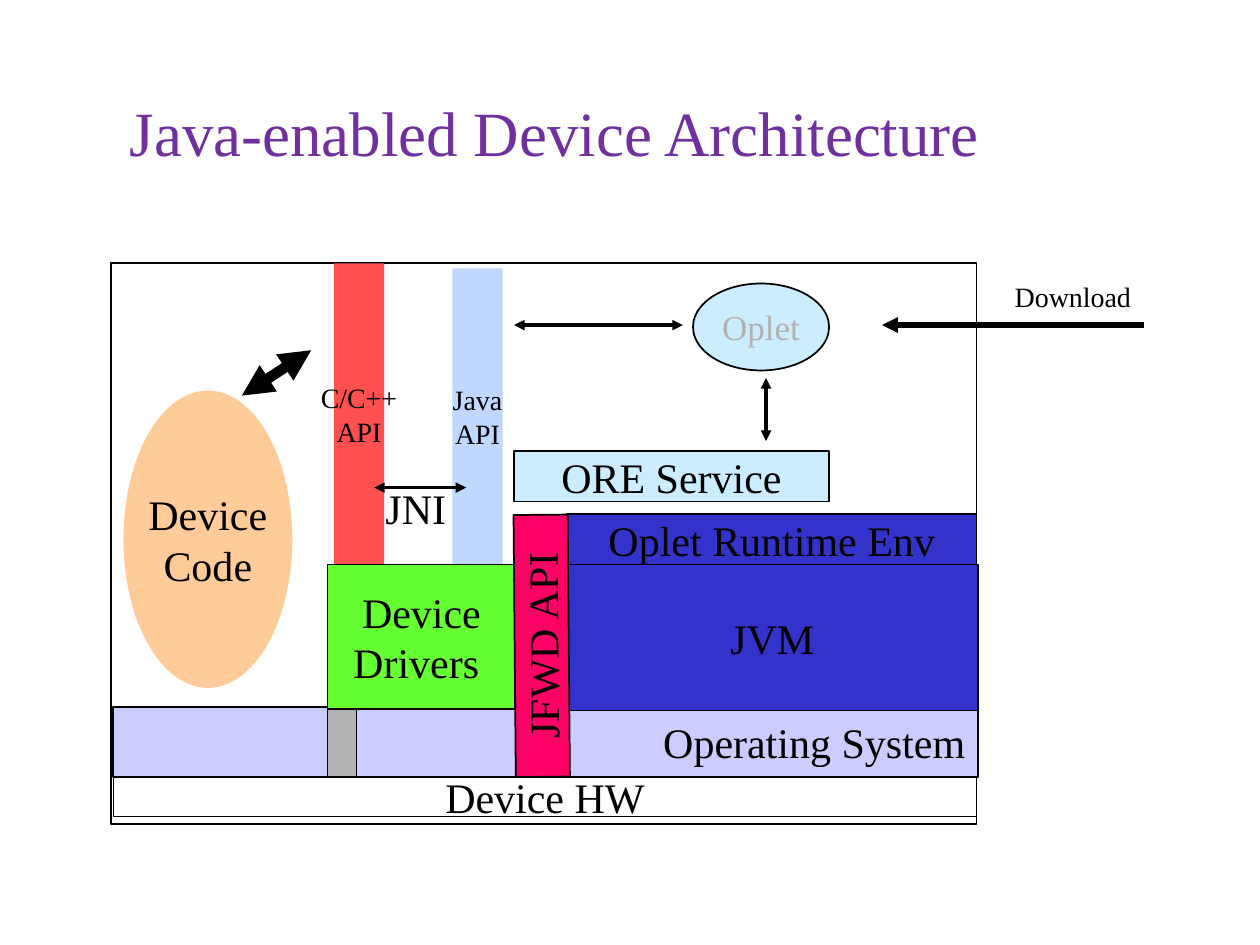
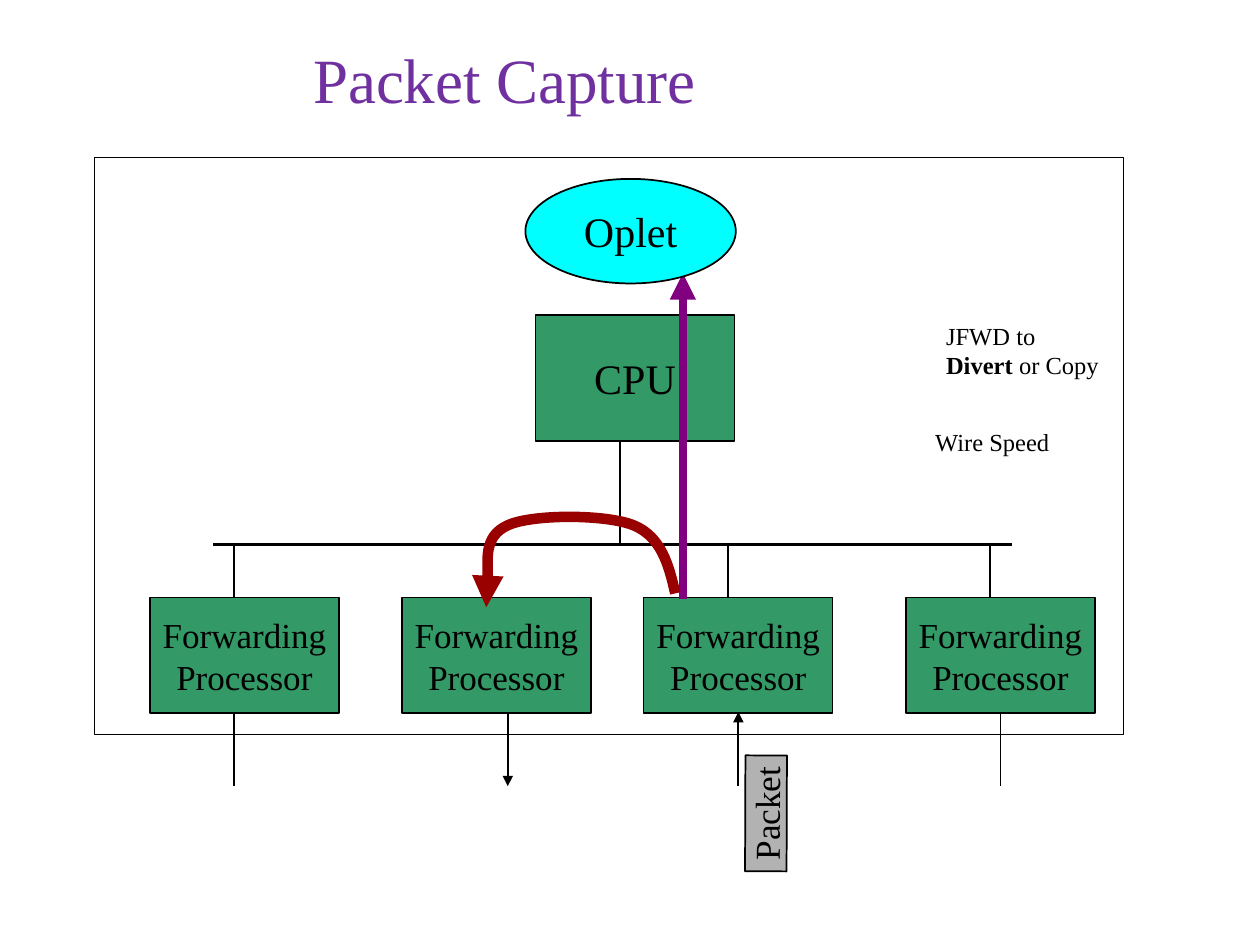
from lxml import etree
from pptx import Presentation
from pptx import util as u
from pptx.dml import color as dc
from pptx.enum import shapes as es, text as et
from pptx.oxml import ns

FONT = "Times New Roman"
BLACK, TITLE = "000000", "7030A0"
GREEN, CYAN, BLUE, LILAC, GREY = "339966", "CCECFF", "3333CC", "CCCCFF", "B2B2B2"
RECT, OVAL = es.MSO_SHAPE.RECTANGLE, es.MSO_SHAPE.OVAL
LEFT, CENTER, RIGHT = et.PP_ALIGN.LEFT, et.PP_ALIGN.CENTER, et.PP_ALIGN.RIGHT
MIDDLE, TOP = et.MSO_ANCHOR.MIDDLE, et.MSO_ANCHOR.TOP


def rgb(code):
    return dc.RGBColor.from_string(code)


def inch(*vals):
    return [u.Inches(v) for v in vals]


def style(frame, size, color=BLACK, align=CENTER):
    for para in frame.paragraphs:
        para.alignment = align
        para.font.name = FONT
        para.font.size = u.Pt(size)
        para.font.color.rgb = rgb(color)


def stroke(line, color, width, ends=""):
    """Colour a line; ends may hold 'h' and 't' for its arrowheads."""
    line.color.rgb = rgb(color)
    line.width = u.Pt(width)
    for key, tag in (("h", "a:headEnd"), ("t", "a:tailEnd")):
        if key in ends:
            etree.SubElement(line._get_or_add_ln(), ns.qn(tag), type="triangle")


# Kinds of element
def add_slide(deck, words, top, width):
    slide = deck.slides.add_slide(deck.slide_layouts[5])
    title = slide.shapes.title
    title.left, title.top, title.width, title.height = inch(0.17, top, width, 0.73)
    frame = title.text_frame
    frame.text = words
    frame.word_wrap = True
    frame.auto_size = et.MSO_AUTO_SIZE.NONE
    frame.vertical_anchor = et.MSO_ANCHOR.BOTTOM
    frame.margin_left = frame.margin_right = u.Inches(0.05)
    frame.margin_top = frame.margin_bottom = u.Inches(0.05)
    frame.paragraphs[0].line_spacing = 0.93
    style(frame, 36, TITLE)
    return slide


def add_box(slide, area, fill=None, words="", size=24, color=BLACK,
            align=CENTER, kind=RECT, edge=1, turn=0):
    box = slide.shapes.add_shape(kind, *inch(*area))
    box.shadow.inherit = False
    box.rotation = turn
    if fill:
        box.fill.solid()
        box.fill.fore_color.rgb = rgb(fill)
    else:
        box.fill.background()
    if edge:
        stroke(box.line, BLACK, edge)
    else:
        box.line.fill.background()
    if words:
        frame = box.text_frame
        frame.text = words
        frame.word_wrap = False
        frame.vertical_anchor = MIDDLE
        style(frame, size, color, align)
    return box


def add_note(slide, area, words, size, align=CENTER, wrap=True, anchor=MIDDLE):
    frame = slide.shapes.add_textbox(*inch(*area)).text_frame
    frame.text = words
    frame.word_wrap = wrap
    frame.vertical_anchor = anchor
    style(frame, size, align=align)
    return frame


def add_line(slide, ends, width=1, heads="", color=BLACK):
    line = slide.shapes.add_connector(es.MSO_CONNECTOR.STRAIGHT, *inch(*ends))
    stroke(line.line, color, width, heads)
    etree.SubElement(line._element.spPr, ns.qn("a:effectLst"))


def add_curve(slide, points, width, color):
    """Draw cubic curves: a start point, then three points for each curve."""
    start, *rest = [inch(*point) for point in points]
    pen = slide.shapes.build_freeform(*start)
    pen.add_line_segments(rest, close=False)
    curve = pen.convert_to_shape()
    curve.shadow.inherit = False
    curve.fill.background()
    stroke(curve.line, color, width, "t")
    steps = list(curve._element.iter(ns.qn("a:lnTo")))
    for i in range(0, len(steps), 3):
        bend = etree.Element(ns.qn("a:cubicBezTo"))
        steps[i].addprevious(bend)
        for step in steps[i:i + 3]:
            bend.append(step[0])
            step.getparent().remove(step)


# Slides
def draw_device(deck):
    slide = add_slide(deck, "Java-enabled Device Architecture ", 0.67, 8.59)

    # Frame and platform layers
    add_box(slide, (0.88, 2.09, 6.87, 4.45))
    add_box(slide, (0.9, 6.17, 6.85, 0.31), None, "Device HW")
    add_box(slide, (0.9, 5.61, 6.86, 0.56), LILAC, "Operating System", align=RIGHT)
    add_box(slide, (4.5, 4.48, 3.26, 1.16), BLUE, "JVM")
    add_box(slide, (5.5, 2.25, 1.08, 0.69), CYAN, "Oplet", 20, GREY, kind=OVAL)

    # API columns and the arrows between the parts
    add_box(slide, (2.65, 2.09, 0.4, 2.4), "FF5050", "C/C++\nAPI", 16, edge=0)
    add_box(slide, (3.59, 2.13, 0.4, 2.35), "BED8FF", "Java\nAPI", 16, edge=0)
    add_line(slide, (1.92, 3.14, 2.47, 2.78), 6, "ht")
    for ends in ((4.08, 2.58, 5.42, 2.58), (2.97, 3.87, 3.7, 3.87),
                 (6.08, 3, 6.08, 3.5)):
        add_line(slide, ends, 2, "ht")

    # Code, drivers and services
    add_box(slide, (0.98, 3.1, 1.34, 2.36), "FFCC99", "Device\nCode", kind=OVAL, edge=0)
    add_box(slide, (4.5, 4.08, 3.25, 0.4), BLUE, "Oplet Runtime Env")
    add_box(slide, (2.6, 4.48, 1.49, 1.15), "66FF33", "Device\nDrivers ")
    add_note(slide, (2.96, 3.78, 0.68, 0.5), "JNI", 24, wrap=False, anchor=TOP)
    add_box(slide, (2.6, 5.63, 0.23, 0.54), GREY)
    add_box(slide, (3.26, 4.91, 2.08, 0.43), "FF0066", "JFWD API", turn=269.5)
    add_box(slide, (4.08, 3.58, 2.5, 0.4), CYAN, "ORE Service")

    # Download
    add_line(slide, (9.08, 2.58, 7, 2.58), 3, "t")
    add_note(slide, (7.5, 2.17, 2.03, 0.36), "Download", 16)


def draw_packet(deck):
    slide = add_slide(deck, "Packet Capture", 0.25, 7.67)
    bus, top, base = 4.32, 4.74, 5.65

    # Bus and processor
    add_line(slide, (1.69, bus, 8.03, bus), 2)
    add_box(slide, (4.25, 2.5, 1.58, 1), GREEN, "CPU", edge=0.75)
    add_line(slide, (4.92, 3.5, 4.92, bus))

    # Forwarding processors: left edge, bus link, port, port arrowhead
    for left, link, port, head in ((1.19, 1.86, 1.86, ""), (3.19, 3.86, 4.03, "t"),
                                   (5.11, 5.78, 5.86, "h"), (7.19, 7.86, 7.94, "")):
        add_box(slide, (left, top, 1.5, 0.92), GREEN, "Forwarding\nProcessor", 20,
                edge=0.75)
        add_line(slide, (link, bus, link, top))
        add_line(slide, (port, base, port, 6.24), heads=head)
    add_box(slide, (0.75, 1.25, 8.17, 4.58), edge=0.75)

    # Packet routes
    add_line(slide, (5.42, 4.75, 5.42, 2.17), 5, "t", "800080")
    add_curve(slide, [(5.36, 4.71), (5.31, 4.49), (5.25, 4.26), (5.03, 4.17),
                      (4.81, 4.08), (4.22, 4.08), (4.03, 4.17),
                      (3.83, 4.26), (3.89, 4.6), (3.86, 4.71),
                      (3.83, 4.82), (3.85, 4.82), (3.86, 4.82)], 6, "990000")
    add_box(slide, (4.17, 1.42, 1.67, 0.83), "00FFFF", "Oplet", kind=OVAL)

    # Notes and the packet
    note = add_note(slide, (7.41, 2.5, 1.41, 0.56), "JFWD to\nDivert", 14, LEFT, False)
    last = note.paragraphs[1]
    last.runs[0].font.bold = True
    last.add_run().text = " or Copy"
    add_note(slide, (7.25, 3.34, 1.25, 0.33), "Wire Speed", 14)
    add_box(slide, (5.62, 6.29, 0.92, 0.33), GREY, "Packet", 20, turn=270.2)


def main():
    deck = Presentation()
    deck.slide_width, deck.slide_height = inch(10, 7.5)
    draw_device(deck)
    draw_packet(deck)
    deck.save("out.pptx")


if __name__ == "__main__":
    main()
